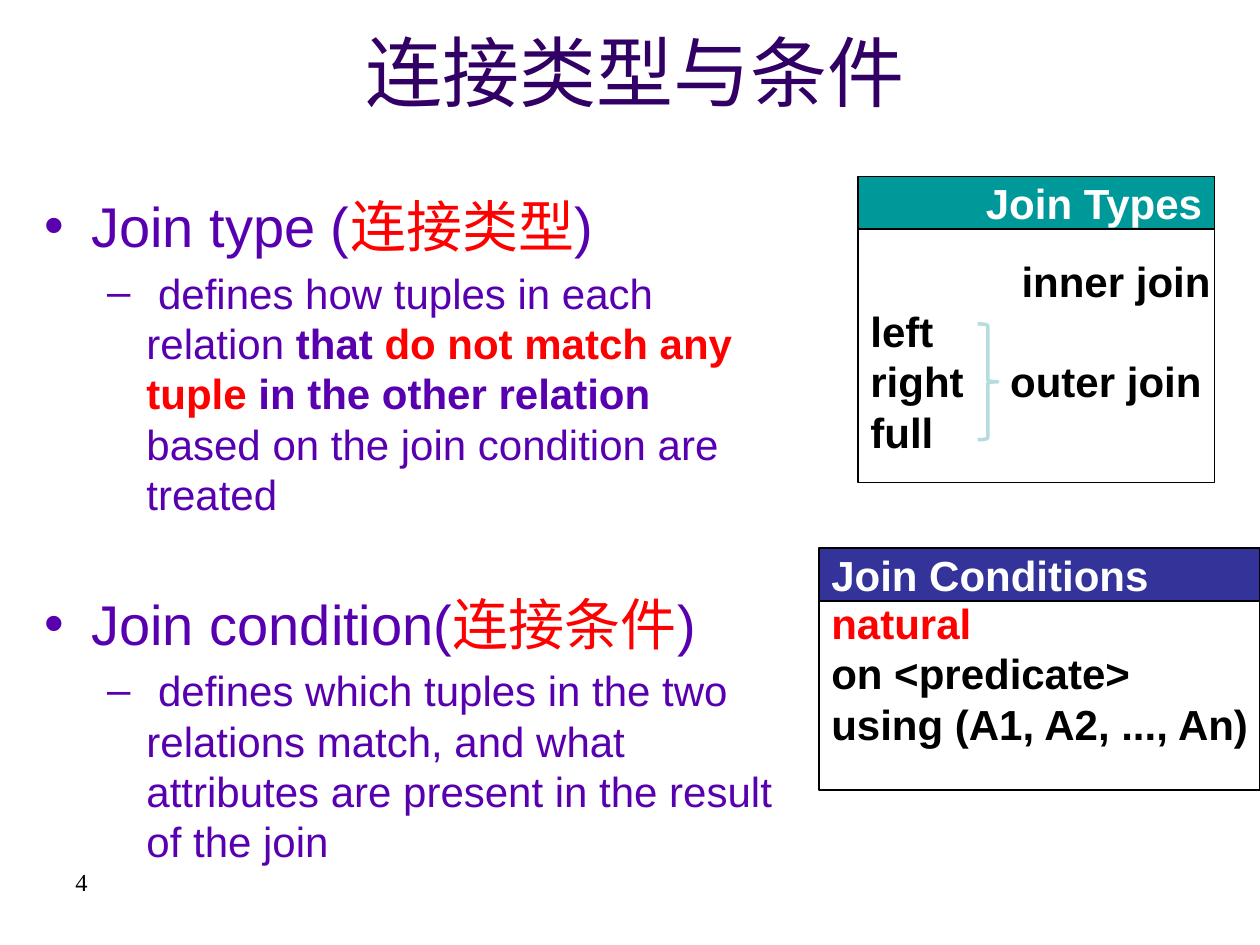
import dataclasses

import pptx
import pptx.dml.color
import pptx.enum.shapes
import pptx.enum.text
import pptx.util
from pptx.util import Inches

SHAPES = pptx.enum.shapes.MSO_SHAPE
ALIGN = pptx.enum.text.PP_ALIGN
ANCHOR = pptx.enum.text.MSO_ANCHOR


@dataclasses.dataclass(frozen=True)
class Theme:
    sans: str = "Arial"
    serif: str = "Times New Roman"
    title: str = "320064"
    body: str = "5800B0"
    accent: str = "FF0000"
    ink: str = "000000"
    paper: str = "FFFFFF"
    types_header: str = "009999"
    conditions_header: str = "333399"
    brace: str = "B6DCDF"
    title_size: int = 44
    topic_size: int = 32
    text_size: int = 24
    number_size: int = 14


class SlideBuilder:
    def __init__(self, page, theme):
        self.page = page
        self.theme = theme

    def span(self, para, text, size, color, bold=False, font=None):
        span = para.add_run()
        span.text = text
        span.font.name = font or self.theme.sans
        span.font.size = pptx.util.Pt(size)
        span.font.bold = bold
        span.font.color.rgb = pptx.dml.color.RGBColor.from_string(color)

    def place(self, shape, left, top, width, height):
        shape.left, shape.top = Inches(left), Inches(top)
        shape.width, shape.height = Inches(width), Inches(height)

    def title(self, text, *bounds):
        box = self.page.shapes.title
        self.place(box, *bounds)
        para = box.text_frame.paragraphs[0]
        para.alignment = ALIGN.CENTER
        self.span(para, text, self.theme.title_size, self.theme.title)

    def outline(self, items, *bounds):
        box = self.page.placeholders[1]
        self.place(box, *bounds)
        frame = box.text_frame
        frame.auto_size = pptx.enum.text.MSO_AUTO_SIZE.NONE
        for index, (level, gap, spans) in enumerate(items):
            para = frame.add_paragraph() if index else frame.paragraphs[0]
            para.level = level
            para.space_before = pptx.util.Pt(gap)
            size = self.theme.text_size if level else self.theme.topic_size
            for text, color, bold in spans:
                self.span(para, text, size, color, bold)

    def panel(self, fill, *bounds):
        box = self.page.shapes.add_shape(SHAPES.RECTANGLE, 0, 0, 0, 0)
        self.place(box, *bounds)
        box.shadow.inherit = False
        box.fill.solid()
        box.fill.fore_color.rgb = pptx.dml.color.RGBColor.from_string(fill)
        box.line.color.rgb = pptx.dml.color.RGBColor.from_string(self.theme.ink)
        box.line.width = pptx.util.Pt(1)
        box.text_frame.word_wrap = False
        box.text_frame.vertical_anchor = ANCHOR.MIDDLE
        return box.text_frame

    def panel_lines(self, frame, lines, align=ALIGN.LEFT):
        paras = []
        for index, (text, color) in enumerate(lines):
            para = frame.add_paragraph() if index else frame.paragraphs[0]
            para.alignment = align
            self.span(para, text, self.theme.text_size, color, True)
            paras.append(para)
        return paras

    def indent(self, para, distance):
        para._p.get_or_add_pPr().set("marL", str(Inches(distance)))

    def tab_stop(self, para, distance):
        properties = para._p.get_or_add_pPr()
        stops = pptx.oxml.parse_xml(
            '<a:tabLst xmlns:a="http://schemas.openxmlformats.org/drawingml/2006/main">'
            f'<a:tab pos="{Inches(distance)}" algn="l"/></a:tabLst>'
        )
        properties.append(stops)

    def brace(self, *bounds):
        brace = self.page.shapes.add_shape(SHAPES.RIGHT_BRACE, 0, 0, 0, 0)
        self.place(brace, *bounds)
        brace.shadow.inherit = False
        brace.fill.background()
        brace.line.color.rgb = pptx.dml.color.RGBColor.from_string(self.theme.brace)
        brace.line.width = pptx.util.Pt(2)

    def page_number(self, text, *bounds):
        box = self.page.shapes.add_textbox(0, 0, 0, 0)
        self.place(box, *bounds)
        box.text_frame.word_wrap = True
        self.span(box.text_frame.paragraphs[0], text, self.theme.number_size,
                  self.theme.ink, font=self.theme.serif)


def main():
    deck = pptx.Presentation()
    deck.slide_width, deck.slide_height = Inches(10), Inches(7.5)
    theme = Theme()
    builder = SlideBuilder(deck.slides.add_slide(deck.slide_layouts[1]), theme)

    builder.title("连接类型与条件", 0.25, 0.05, 9.58, 1.02)
    builder.outline([
        (0, 0, [("Join type (", theme.body, False),
                ("连接类型", theme.accent, False),
                (")", theme.body, False)]),
        (1, 4.8, [(" defines how tuples in each relation ", theme.body, False),
                  ("that ", theme.body, True),
                  ("do not match any tuple", theme.accent, True),
                  (" in the other relation", theme.body, True),
                  (" based on the join condition are treated", theme.body, False)]),
        (0, 40, [("Join condition(", theme.body, False),
                 ("连接条件", theme.accent, False),
                 (")", theme.body, False)]),
        (1, 4.8, [(" defines which tuples in the two relations match, and what "
                   "attributes are present in the result of the join",
                   theme.body, False)]),
    ], 0.25, 1.47, 6.01, 4.33)

    header = builder.panel(theme.types_header, 6.81, 1.4, 2.83, 0.42)
    builder.panel_lines(header, [("Join Types", theme.paper)], ALIGN.RIGHT)
    types = builder.panel(theme.paper, 6.81, 1.82, 2.83, 2.01)
    types.word_wrap = True
    types.margin_right = 0
    join_types = ["inner join", "left", "right\touter join", "full"]
    paras = builder.panel_lines(types, [(text, theme.ink) for text in join_types])
    builder.indent(paras[0], 1.2)
    builder.tab_stop(paras[2], 1.11)

    header = builder.panel(theme.conditions_header, 6.5, 4.35, 3.5, 0.42)
    builder.panel_lines(header, [("Join Conditions", theme.paper)])
    conditions = builder.panel(theme.paper, 6.5, 4.77, 3.5, 1.5)
    conditions.margin_top = 0
    conditions.margin_bottom = Inches(0.36)
    builder.panel_lines(conditions, [
        ("natural", theme.accent),
        ("on <predicate>", theme.ink),
        ("using (A1, A2, ..., An)", theme.ink),
    ])

    builder.page_number("4", 0.5, 6.83, 2.33, 0.52)
    builder.brace(7.76, 2.57, 0.16, 0.92)
    deck.save("out.pptx")


if __name__ == "__main__":
    main()
